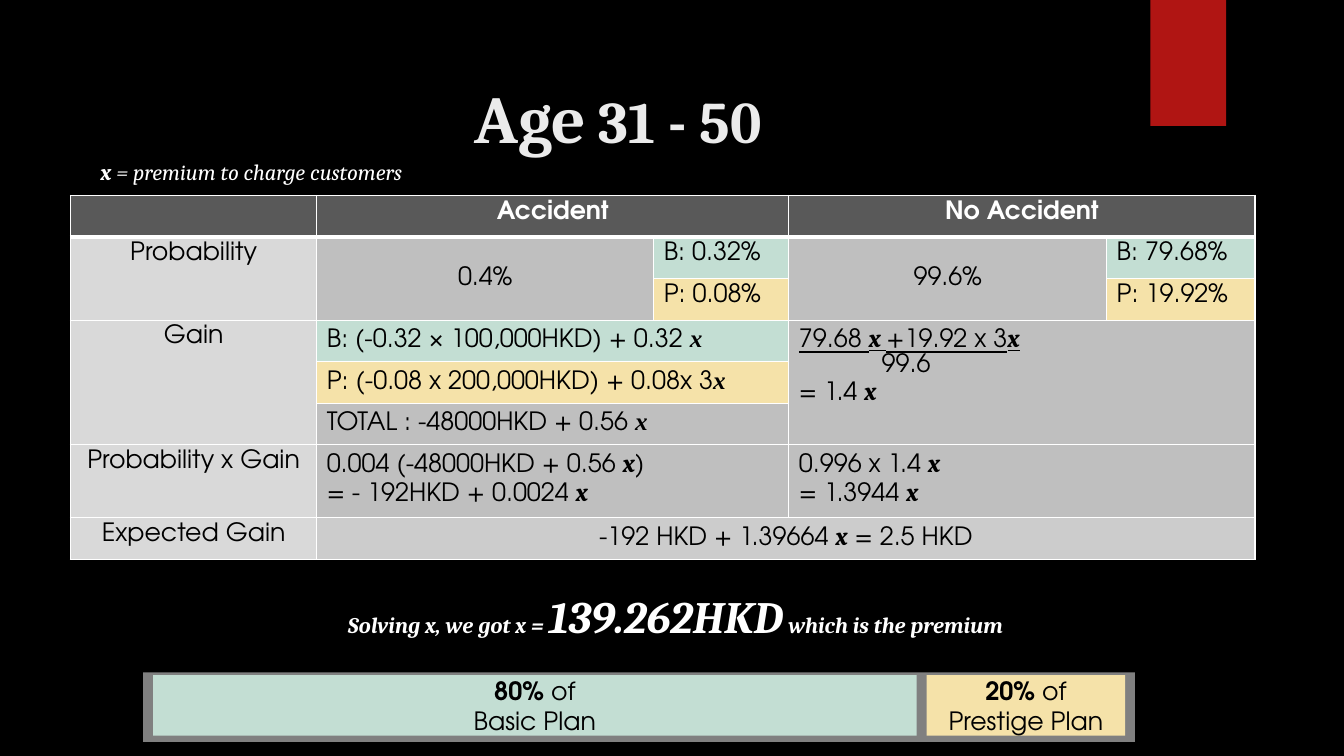
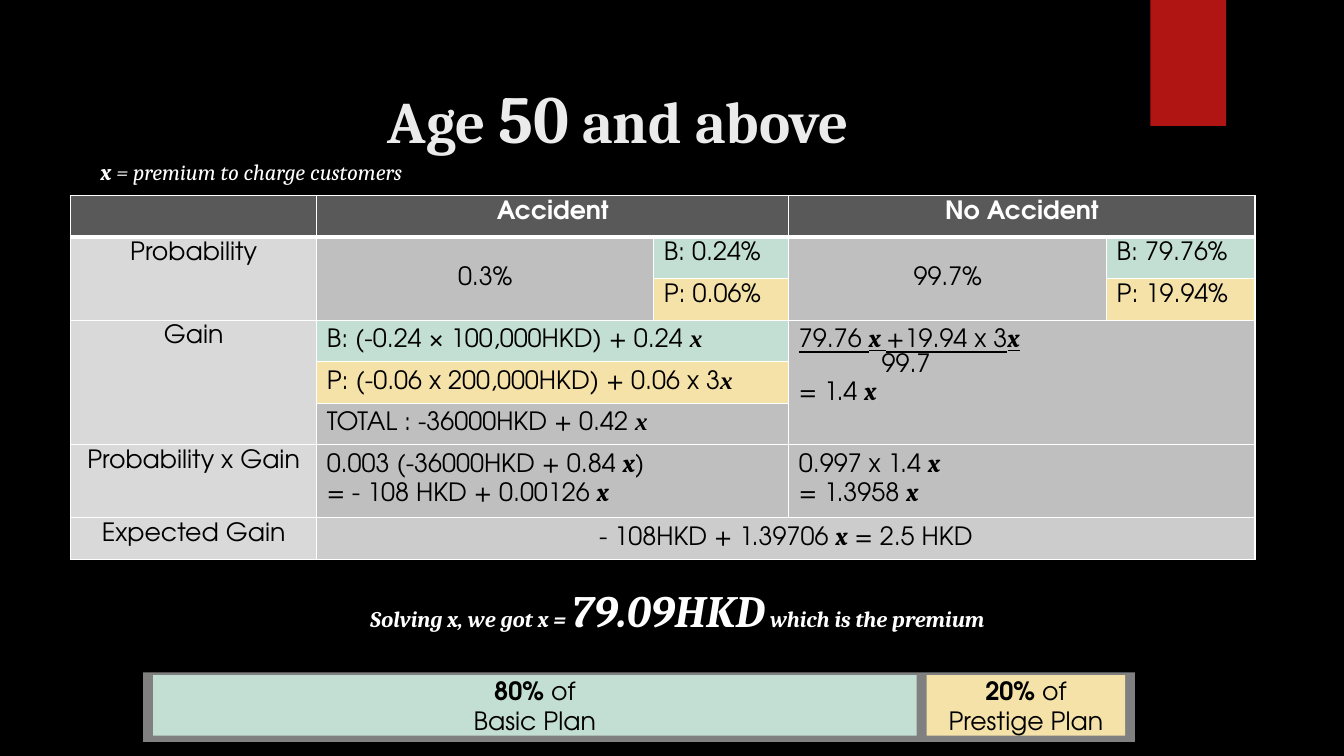
from dataclasses import dataclass

from lxml.etree import SubElement
from pptx import Presentation
from pptx.dml.color import RGBColor
from pptx.enum.shapes import MSO_SHAPE
from pptx.enum.text import MSO_ANCHOR, PP_ALIGN
from pptx.oxml.ns import qn
from pptx.util import Inches, Pt

SLIDE_WIDTH, SLIDE_HEIGHT = Inches(13.33), Inches(7.5)
BLACK, WHITE, RED, TITLE_GREY = "000000", "FFFFFF", "B01513", "EBEBEB"
HEADER, LABEL, VALUE, RESULT, BAR = "595959", "D9D9D9", "BFBFBF", "CCCCCC", "808080"
BASIC, PRESTIGE = "C3DED3", "F5E2A9"
SERIF, SANS = "Cambria", "TeX Gyre Adventor"
CENTER, LEFT = PP_ALIGN.CENTER, PP_ALIGN.LEFT
COLUMN_WEIGHTS = [2.44, 3.34, 1.34, 3.15, 1.47]
ROW_WEIGHTS = [0.41] * 6 + [0.72, 0.41]
X = ("x", {"name": SERIF, "bold": True, "italic": True})
X_TIMES = ("x", {"name": "Times New Roman", "bold": True, "italic": True})
UNDERLINE = {"underline": True}


@dataclass
class Box:
    """A region whose lengths are in slide units."""

    left: int
    top: int
    width: int
    height: int

    def region(self, left, top, width, height):
        """Return a region given in percent of this one."""
        return Box(
            int(self.left + self.width * left / 100),
            int(self.top + self.height * top / 100),
            int(self.width * width / 100),
            int(self.height * height / 100),
        )

    def place(self):
        """Return the four lengths in the order shapes take them."""
        return self.left, self.top, self.width, self.height


@dataclass
class AgeGroup:
    """The figures shown for one age group."""

    title: list
    accident: tuple
    safe: tuple
    basic_gain: str
    prestige_gain: str
    total: str
    accident_product: tuple
    safe_product: tuple
    expected: str
    premium: str
    answer_box: tuple


PAGE = Box(0, 0, SLIDE_WIDTH, SLIDE_HEIGHT)
GROUPS = [
    AgeGroup(
        title=[("Age", {"size": 48}), " 31 - 50"],
        accident=("0.4", "0.32", "0.08"),
        safe=("99.6", "79.68", "19.92"),
        basic_gain="B: (-0.32 × 100,000HKD) + 0.32 ",
        prestige_gain="P: (-0.08 x 200,000HKD) + 0.08x 3",
        total="TOTAL : -48000HKD + 0.56 ",
        accident_product=("0.004 (-48000HKD + 0.56 ", "= - 192HKD + 0.0024 "),
        safe_product=("0.996 x 1.4 ", "= 1.3944 "),
        expected="-192 HKD + 1.39664 ",
        premium="139.262HKD",
        answer_box=(22.8, 77.2, 54.9, 8.53),
    ),
    AgeGroup(
        title=["Age ", ("50", {"size": 48}), " and above"],
        accident=("0.3", "0.24", "0.06"),
        safe=("99.7", "79.76", "19.94"),
        basic_gain="B: (-0.24 × 100,000HKD) + 0.24 ",
        prestige_gain="P: (-0.06 x 200,000HKD) + 0.06 x 3",
        total="TOTAL : -36000HKD + 0.42 ",
        accident_product=("0.003 (-36000HKD + 0.84 ", "= - 108 HKD + 0.00126 "),
        safe_product=("0.997 x 1.4 ", "= 1.3958 "),
        expected="- 108HKD + 1.39706 ",
        premium="79.09HKD",
        answer_box=(22.95, 76.4, 54.9, 8.53),
    ),
]


def color(value):
    """Turn a hex string into a colour."""
    return RGBColor.from_string(value)


def write(frame, lines, align=LEFT, **base):
    """Write lines of pieces, each a text or a text with its own format."""
    frame.word_wrap = True
    for number, pieces in enumerate(lines):
        paragraph = frame.add_paragraph() if number else frame.paragraphs[0]
        paragraph.alignment = align
        for piece in pieces:
            text, changes = (piece, {}) if isinstance(piece, str) else piece
            style = {"name": SANS, "size": 18, "color": BLACK, "bold": False, **base, **changes}
            run = paragraph.add_run()
            run.text = text
            run.font.name = style["name"]
            run.font.size = Pt(style["size"])
            run.font.color.rgb = color(style["color"])
            run.font.bold = style["bold"]
            run.font.italic = style.get("italic", False)
            run.font.underline = style.get("underline", False)


def add_rectangle(slide, box, fill):
    """Add a plain rectangle without outline."""
    shape = slide.shapes.add_shape(MSO_SHAPE.RECTANGLE, *box.place())
    shape.shadow.inherit = False
    shape.fill.solid()
    shape.fill.fore_color.rgb = color(fill)
    shape.line.fill.background()
    return shape


def add_serif_text(slide, box, pieces, align):
    """Add a line of white italic serif text."""
    frame = slide.shapes.add_textbox(*box.place()).text_frame
    write(frame, [pieces], align, name=SERIF, size=16, color=WHITE, bold=True, italic=True)


def set_borders(cell, top=1, bottom=1):
    """Draw white lines on the four sides of a cell."""
    properties = cell._tc.get_or_add_tcPr()
    sides = {"a:lnL": 1, "a:lnR": 1, "a:lnT": top, "a:lnB": bottom}
    for position, (tag, width) in enumerate(sides.items()):
        line = SubElement(properties, qn(tag), w=str(Pt(width)))
        fill = SubElement(line, qn("a:solidFill"))
        SubElement(fill, qn("a:srgbClr"), val=WHITE)
        properties.insert(position, line)


def fill_cell(table, row, column, lines, fill, span=(1, 1), anchor=MSO_ANCHOR.TOP, **style):
    """Merge, fill and write one cell, and return its paragraphs."""
    rows, columns = span
    cell = table.cell(row, column)
    if span != (1, 1):
        cell.merge(table.cell(row + rows - 1, column + columns - 1))
    for row_index in range(row, row + rows):
        for column_index in range(column, column + columns):
            member = table.cell(row_index, column_index)
            member.fill.solid()
            member.fill.fore_color.rgb = color(fill)
            set_borders(member, 3 if row_index == 1 else 1, 1 if row_index else 3)
    cell.vertical_anchor = anchor
    write(cell.text_frame, lines, **style)
    return cell.text_frame.paragraphs


def add_grid(slide, box):
    """Add an unstyled table whose columns and rows share the box."""
    table = slide.shapes.add_table(len(ROW_WEIGHTS), len(COLUMN_WEIGHTS), *box.place()).table
    table.horz_banding = False
    for column, weight in zip(table.columns, COLUMN_WEIGHTS):
        column.width = int(box.width * weight / sum(COLUMN_WEIGHTS))
    for row, weight in zip(table.rows, ROW_WEIGHTS):
        row.height = int(box.height * weight / sum(ROW_WEIGHTS))
    return table


def add_gain_table(slide, box, group):
    """Add the table of probabilities and gains."""
    table = add_grid(slide, box)
    fill_cell(table, 0, 0, [], HEADER)
    for column, heading in ((1, "Accident"), (3, "No Accident")):
        fill_cell(table, 0, column, [[heading]], HEADER, (1, 2),
                  align=CENTER, color=WHITE, bold=True)

    labels = ((1, 2, "Probability"), (3, 3, "Gain"),
              (6, 1, "Probability x Gain"), (7, 1, "Expected Gain"))
    for row, rows, label in labels:
        fill_cell(table, row, 0, [[label]], LABEL, (rows, 1), align=CENTER)

    for column, (share, basic, prestige) in ((1, group.accident), (3, group.safe)):
        fill_cell(table, 1, column, [[f"{share}%"]], VALUE, (2, 1), MSO_ANCHOR.MIDDLE, align=CENTER)
        fill_cell(table, 1, column + 1, [[f"B: {basic}%"]], BASIC)
        fill_cell(table, 2, column + 1, [[f"P: {prestige}%"]], PRESTIGE)

    gains = ((group.basic_gain, BASIC), (group.prestige_gain, PRESTIGE), (group.total, VALUE))
    for row, (gain, fill) in enumerate(gains, 3):
        fill_cell(table, row, 1, [[gain, X_TIMES]], fill, (1, 2))

    share, basic, prestige = group.safe
    numerator = [
        (f"{basic} ", UNDERLINE),
        ("x ", {**X[1], **UNDERLINE}),
        (f"+{prestige} x 3", UNDERLINE),
        ("x", {**X[1], **UNDERLINE}),
    ]
    fraction = fill_cell(table, 3, 3, [numerator, [share], ["= 1.4 ", X]], VALUE, (3, 2))
    indent = fraction[1]._p.get_or_add_pPr()
    indent.set("marL", str(Inches(0.82)))
    indent.set("indent", "0")

    first, second = group.accident_product
    fill_cell(table, 6, 1, [[first, X, ")"], [second, X]], VALUE, (1, 2))
    fill_cell(table, 6, 3, [[line, X] for line in group.safe_product], VALUE, (1, 2))
    fill_cell(table, 7, 1, [[group.expected, X, " = 2.5 HKD"]], RESULT, (1, 4), align=CENTER)


def add_plan_bar(slide, box):
    """Add the bar that splits customers between the two plans."""
    add_rectangle(slide, box, BAR)
    plans = ((1, 77, "80%", "Basic Plan", BASIC), (79, 20, "20%", "Prestige Plan", PRESTIGE))
    for left, width, share, plan, fill in plans:
        shape = add_rectangle(slide, box.region(left, 4, width, 87), fill)
        shape.text_frame.vertical_anchor = MSO_ANCHOR.MIDDLE
        write(shape.text_frame, [[(share, {"bold": True}), " of"], [plan]], CENTER)


def style_layout(presentation):
    """Set the background and the title place, and return the layout."""
    presentation.slide_master.background.fill.solid()
    presentation.slide_master.background.fill.fore_color.rgb = color(BLACK)
    layout = presentation.slide_layouts[5]
    title = layout.placeholders[0]
    title.left, title.top, title.width, title.height = PAGE.region(7.5, 9.47, 76.97, 20.4).place()
    return layout


def add_age_slide(presentation, layout, group):
    """Add the slide of one age group."""
    slide = presentation.slides.add_slide(layout)
    title = slide.shapes.title.text_frame
    title.vertical_anchor = MSO_ANCHOR.TOP
    write(title, [group.title], CENTER, name=SERIF, size=42, color=TITLE_GREY, bold=True)
    note = ["x", (" = premium to charge customers", {"bold": False})]
    add_serif_text(slide, PAGE.region(6.75, 20.27, 32, 4.93), note, LEFT)
    add_gain_table(slide, PAGE.region(5.25, 25.87, 88.13, 48.13), group)
    answer = ["Solving x, we got x = ", (group.premium, {"size": 32}), " which is the premium"]
    add_serif_text(slide, PAGE.region(*group.answer_box), answer, CENTER)
    add_plan_bar(slide, PAGE.region(10.65, 88.93, 73.8, 9.2))
    return slide


def main():
    """Build and save the presentation."""
    presentation = Presentation()
    presentation.slide_width, presentation.slide_height = SLIDE_WIDTH, SLIDE_HEIGHT
    layout = style_layout(presentation)
    slides = [add_age_slide(presentation, layout, group) for group in GROUPS]
    ribbon = add_rectangle(slides[0], PAGE.region(85.6, 0, 5.63, 16.67), RED)
    layout.shapes.element.append(ribbon.element)
    presentation.save("out.pptx")


if __name__ == "__main__":
    main()
